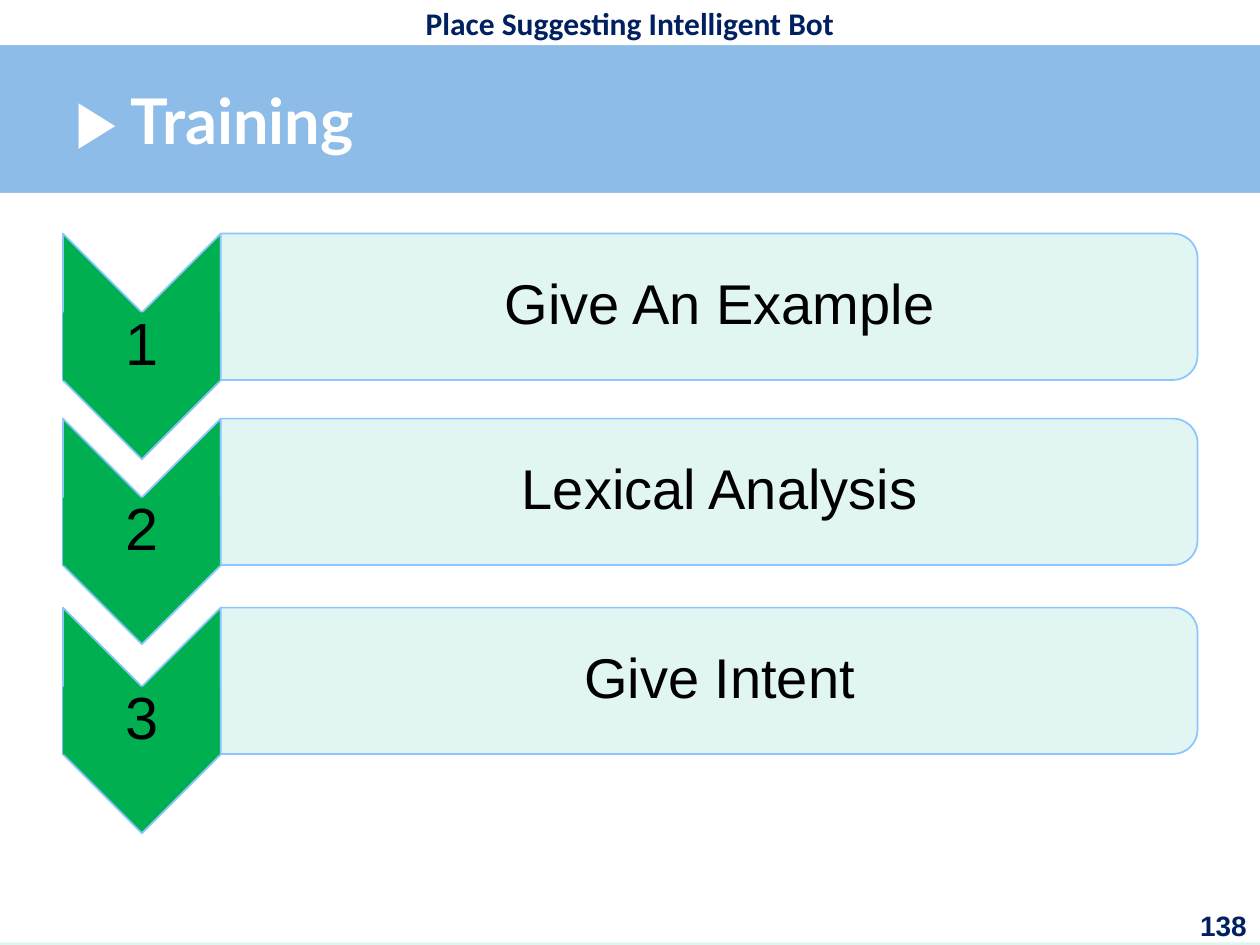
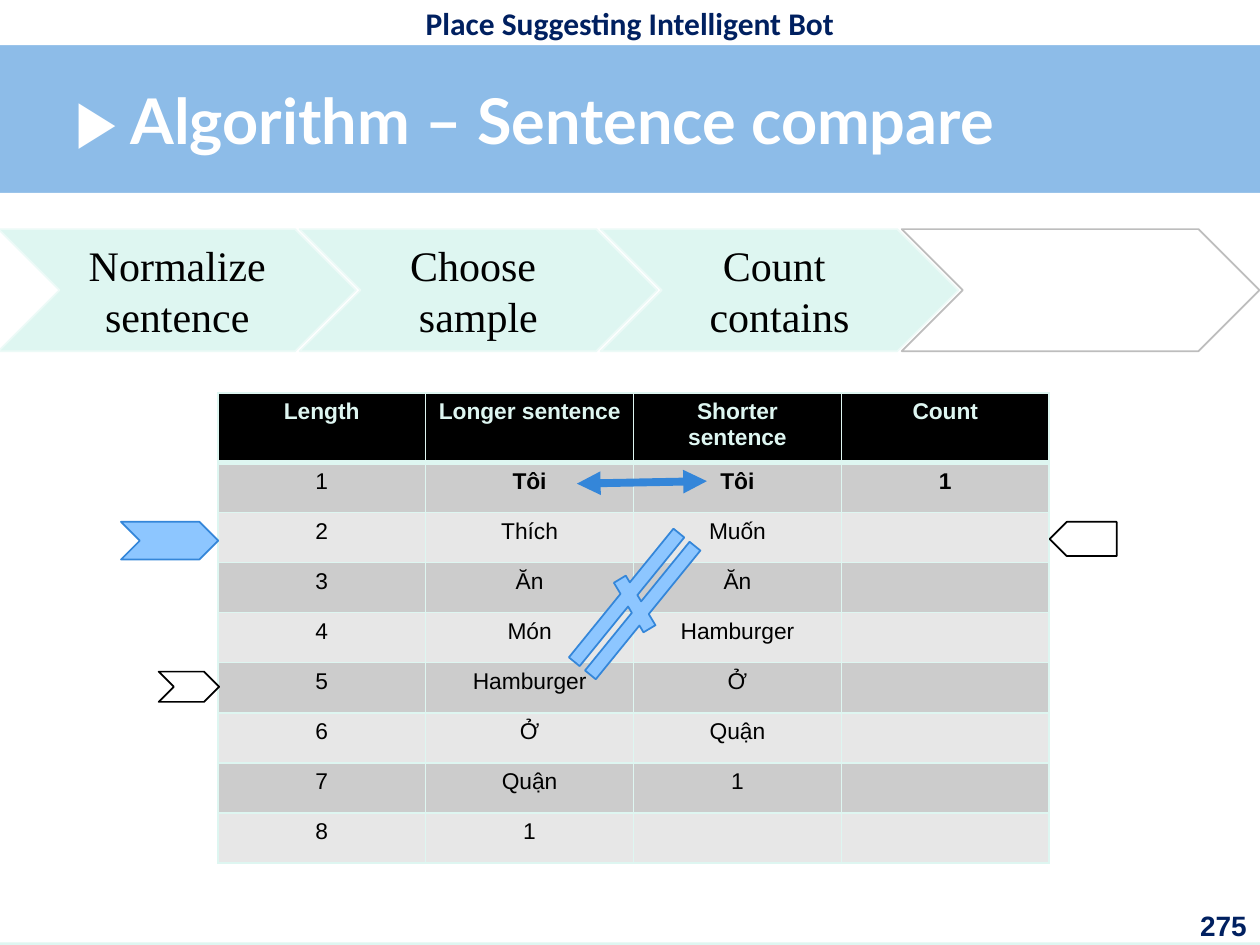
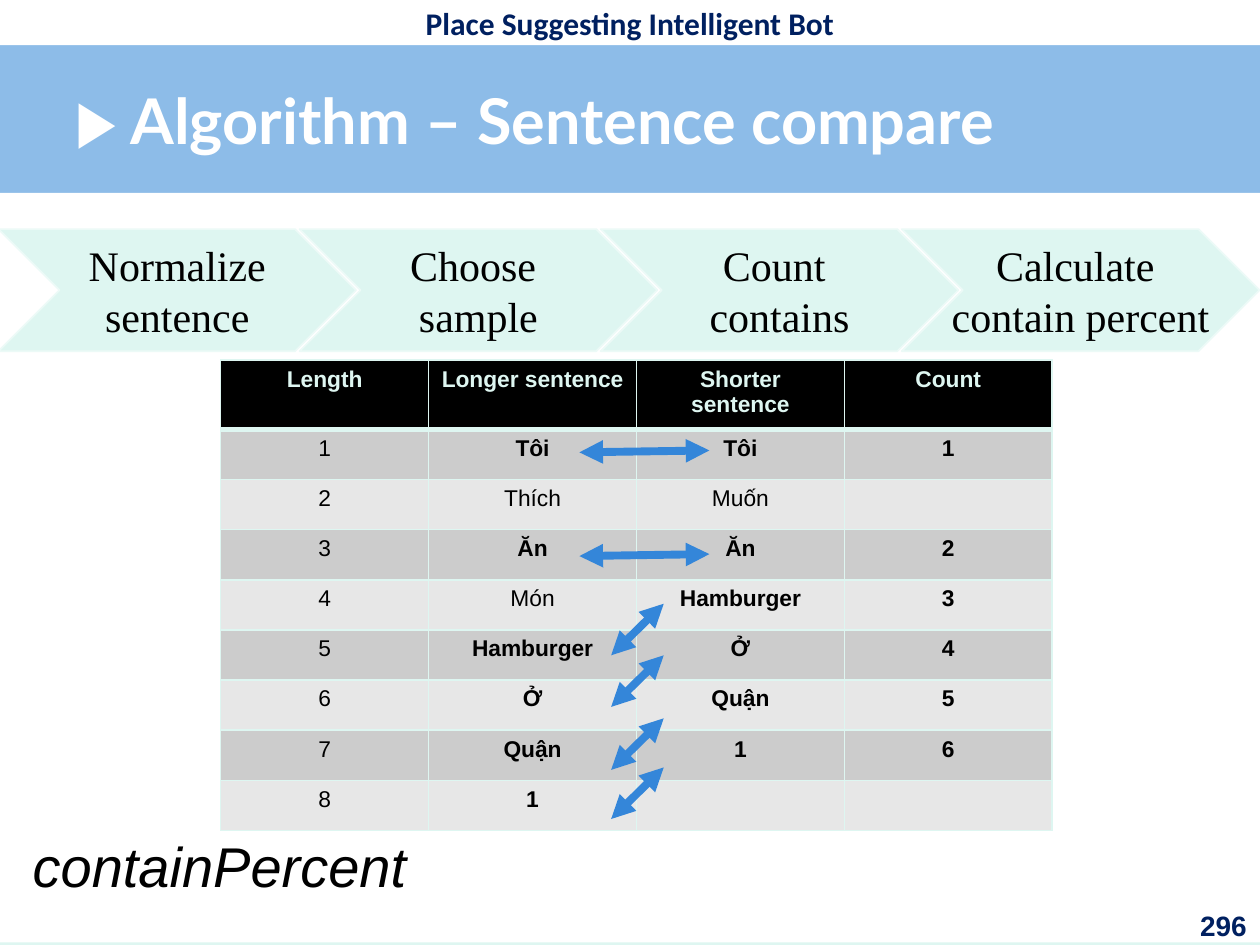
import dataclasses
import itertools

import lxml.etree
import pptx
import pptx.dml.color
import pptx.enum.shapes
import pptx.enum.text
import pptx.oxml.ns
import pptx.util

Cm = pptx.util.Cm
Pt = pptx.util.Pt
SHAPE = pptx.enum.shapes.MSO_SHAPE
ALIGN = pptx.enum.text.PP_ALIGN
ANCHOR = pptx.enum.text.MSO_ANCHOR


@dataclasses.dataclass(frozen=True)
class Theme:
    mint: str = "DEF6F1"
    pale_mint: str = "ECFAF7"
    band: str = "7FB3E7"
    navy: str = "002060"
    white: str = "FFFFFF"
    black: str = "000000"
    green: str = "00B050"
    sky: str = "8DC6FF"
    blue: str = "3486D9"
    gray_line: str = "BDBDBD"
    row_fills: tuple = ("CCCCCC", "E7E7E7")
    body_font: str = "Arial"
    title_font: str = "Lato"
    deck_font: str = "Calibri"
    process_font: str = "Times New Roman"
    title_size: int = 36
    number_size: int = 34
    step_size: int = 32
    process_size: int = 24
    deck_size: int = 18
    page_size: int = 16
    table_size: int = 13


THEME = Theme()
SLIDE_WIDTH, SLIDE_HEIGHT = 25.4, 19.05
DECK_NAME = "Place Suggesting Intelligent Bot"
COMPARE_TITLE = "Algorithm – Sentence compare"
LONGER = ["Tôi", "Thích", "Ăn", "Món", "Hamburger", "Ở", "Quận", "1"]
SHORTER = ["Tôi", "Muốn", "Ăn", "Hamburger", "Ở", "Quận", "1"]
PROCESS = ["Normalize\nsentence", "Choose \nsample", "Count \ncontains",
           "Calculate \ncontain percent"]


def rgb(color):
    return pptx.dml.color.RGBColor.from_string(color)


def lengths(box):
    return [Cm(value) for value in box]


def add_xml(parent, tag, **attributes):
    return lxml.etree.SubElement(parent, pptx.oxml.ns.qn(tag), attributes)


def write_text(holder, text, *, size, font=THEME.body_font, color=THEME.black, bold=False,
               italic=False, align=ALIGN.LEFT, anchor=ANCHOR.TOP, wrap=True, insets=None,
               line_spacing=None):
    """Fill a shape or cell; each line of text becomes a paragraph, insets are in cm."""
    frame = holder.text_frame
    frame.word_wrap = wrap
    holder.vertical_anchor = frame.vertical_anchor = anchor
    if insets is not None:
        (frame.margin_left, frame.margin_top,
         frame.margin_right, frame.margin_bottom) = lengths(insets)
    frame.text = text
    for paragraph in frame.paragraphs:
        paragraph.alignment = align
        paragraph.line_spacing = line_spacing
        for run in paragraph.runs:
            run.font.name = font
            run.font.size = Pt(size)
            run.font.bold = bold
            run.font.italic = italic
            run.font.color.rgb = rgb(color)
        if not paragraph.runs:
            add_xml(paragraph._p, "a:endParaRPr", sz=str(size * 100))


def add_text(slide, box, text, **text_format):
    text_box = slide.shapes.add_textbox(*lengths(box))
    write_text(text_box, text, **text_format)
    return text_box


def add_box(slide, kind, box, fill, line=None, opacity=None, rotation=0):
    shape = slide.shapes.add_shape(kind, *lengths(box))
    shape.shadow.inherit = False
    shape.rotation = rotation
    shape.fill.solid()
    shape.fill.fore_color.rgb = rgb(fill)
    if opacity is not None:
        color = shape.element.xpath("./p:spPr/a:solidFill/a:srgbClr")[0]
        add_xml(color, "a:alpha", val=str(opacity * 1000))
    if line:
        shape.line.color.rgb = rgb(line)
        shape.line.width = Pt(1)
    else:
        shape.line.fill.background()
    return shape


def quarter_turned(left, top, width, height):
    """Give the unrotated box that covers this area once turned by 90 degrees."""
    shift = (width - height) / 2
    return left + shift, top - shift, height, width


def add_double_arrow(slide, start, end):
    connector = slide.shapes.add_connector(
        pptx.enum.shapes.MSO_CONNECTOR.STRAIGHT, *lengths(start + end))
    connector.line.color.rgb = rgb(THEME.blue)
    connector.line.width = Pt(4.5)
    line = connector.line._get_or_add_ln()
    add_xml(line, "a:headEnd", type="triangle")
    add_xml(line, "a:tailEnd", type="triangle")
    add_xml(connector.element.spPr, "a:effectLst")


def set_borders(cell, **widths):
    """Draw the L, R, T and B borders of a cell with the given widths in points."""
    properties = cell._tc.get_or_add_tcPr()
    for index, (side, width) in enumerate(widths.items()):
        border = add_xml(properties, f"a:ln{side}", w=str(Pt(width)))
        add_xml(add_xml(border, "a:solidFill"), "a:srgbClr", val=THEME.mint)
        properties.insert(index, border)


def add_compare_table(slide, left, top, matched):
    """List both sentences, with matched words in bold and numbered in the last column."""
    rows = [("Length", "Longer sentence", "Shorter sentence", "Count")]
    for number, (longer, shorter) in enumerate(
            itertools.zip_longest(LONGER, SHORTER, fillvalue=""), start=1):
        count = str(matched.index(shorter) + 1) if shorter in matched else ""
        rows.append((str(number), longer, shorter, count))
    column_width, header_height, row_height = 4.19, 1.4, 1.01
    box = (left, top, 4 * column_width, header_height + row_height * len(LONGER))
    table = slide.shapes.add_table(len(rows), 4, *lengths(box)).table
    table.horz_banding = False
    for column in table.columns:
        column.width = Cm(column_width)
    for row_index, values in enumerate(rows):
        header = row_index == 0
        table.rows[row_index].height = Cm(header_height if header else row_height)
        for column_index, value in enumerate(values):
            cell = table.cell(row_index, column_index)
            cell.fill.solid()
            cell.fill.fore_color.rgb = rgb(
                THEME.black if header else THEME.row_fills[(row_index - 1) % 2])
            set_borders(cell, L=1, R=1, T=3 if row_index == 1 else 1, B=3 if header else 1)
            bold = header or column_index == 3 or (column_index > 0 and value in matched)
            write_text(cell, value, size=THEME.table_size, bold=bold, align=ALIGN.CENTER,
                       color=THEME.mint if header else THEME.black)


def add_process(slide, done):
    """Draw the row of process chevrons, the first ones filled and labelled."""
    for index, label in enumerate(PROCESS):
        reached = index < done
        chevron = add_box(slide, SHAPE.CHEVRON, (6.07 * index - 0.03, 4.62, 7.21, 2.46),
                          THEME.mint if reached else THEME.white,
                          THEME.pale_mint if reached else THEME.gray_line)
        if reached:
            write_text(chevron, label, size=THEME.process_size, font=THEME.process_font,
                       align=ALIGN.CENTER, anchor=ANCHOR.MIDDLE, wrap=False)


def add_training_step(slide, top, number, label):
    centered = {"align": ALIGN.CENTER, "anchor": ANCHOR.MIDDLE, "line_spacing": 0.9}
    add_box(slide, SHAPE.CHEVRON, quarter_turned(1.27, top, 3.18, 4.55),
            THEME.green, THEME.sky, rotation=90)
    number_box = add_box(slide, SHAPE.RECTANGLE, (1.27, top + 1.59, 3.18, 1.37), THEME.green)
    write_text(number_box, str(number), size=THEME.number_size, insets=[0.05] * 4, **centered)
    add_box(slide, SHAPE.ROUND_2_SAME_RECTANGLE, quarter_turned(4.45, top, 19.69, 2.95),
            THEME.mint, THEME.sky, opacity=90, rotation=90)
    add_text(slide, (4.45, top + 0.14, 19.53, 2.67), label, size=THEME.step_size,
             insets=(0.64, 0.05, 0.05, 0.05), **centered)


def decorate_layout(layout, slide):
    """Build the shared bands and deck name on a slide, then hand them to the layout."""
    layout.background.fill.solid()
    layout.background.fill.fore_color.rgb = rgb(THEME.mint)
    shared = [
        add_box(slide, SHAPE.RECTANGLE, (0, 0, SLIDE_WIDTH, 3.94), THEME.band, opacity=85),
        add_box(slide, SHAPE.RECTANGLE, (0, 0, SLIDE_WIDTH, 0.91), THEME.white),
        add_box(slide, SHAPE.RECTANGLE, (0, 3.89, SLIDE_WIDTH, 15.11), THEME.white),
        add_text(slide, (1.27, 0, 22.86, 0.91), DECK_NAME, size=THEME.deck_size,
                 font=THEME.deck_font, color=THEME.navy, bold=True, align=ALIGN.CENTER,
                 anchor=ANCHOR.MIDDLE, wrap=False),
    ]
    for shape_id, shape in enumerate(shared, start=100):
        shape.element.xpath(".//p:cNvPr")[0].set("id", str(shape_id))
        layout.shapes.element.append(shape.element)


def add_slide(presentation, layout, title_text, page):
    slide = presentation.slides.add_slide(layout)
    title = slide.shapes.title
    title.left, title.top, title.width, title.height = lengths((1.27, 0.89, 22.86, 3.05))
    write_text(title, f"▶ {title_text}", size=THEME.title_size, font=THEME.title_font,
               color=THEME.white, bold=True, anchor=ANCHOR.MIDDLE)
    add_text(slide, (23.83, 18.19, 1.55, 0.86), str(page), size=THEME.page_size,
             color=THEME.navy, bold=True, align=ALIGN.RIGHT)
    return slide


def fill_training(slide):
    steps = [(4.71, "Give An Example"), (8.44, "Lexical Analysis"), (12.25, "Give Intent")]
    for number, (top, label) in enumerate(steps, start=1):
        add_training_step(slide, top, number, label)


def fill_counting(slide):
    add_compare_table(slide, 4.39, 7.92, matched=["Tôi"])
    add_double_arrow(slide, (11.63, 9.75), (14.25, 9.7))
    add_box(slide, SHAPE.CHEVRON, (2.44, 10.52, 1.96, 0.76), THEME.sky, THEME.blue)
    add_box(slide, SHAPE.CHEVRON, (3.2, 13.54, 1.22, 0.61), THEME.white, THEME.black)
    add_box(slide, SHAPE.MATH_NOT_EQUAL, (10.52, 11.58, 4.55, 1.19), THEME.sky, THEME.blue,
            rotation=309.1)
    add_box(slide, SHAPE.PENTAGON, (21.16, 10.52, 1.35, 0.69), THEME.white, THEME.black,
            rotation=180)
    add_process(slide, done=3)


def fill_percent(slide):
    add_compare_table(slide, 4.45, 7.26, [word for word in SHORTER if word in LONGER])
    for top in (9.12, 11.21):
        add_double_arrow(slide, (11.68, top), (14.3, top - 0.04))
    for top in (13.21, 14.25, 15.52, 16.51):
        add_double_arrow(slide, (12.32, top), (13.38, top - 1.04))
    add_process(slide, done=4)
    add_text(slide, (0.66, 16.76, 24.69, 1.37), "containPercent", size=THEME.step_size,
             italic=True, insets=[0] * 4)


def main():
    presentation = pptx.Presentation()
    presentation.slide_width, presentation.slide_height = lengths((SLIDE_WIDTH, SLIDE_HEIGHT))
    layout = presentation.slide_layouts.get_by_name("Title Only")
    training = add_slide(presentation, layout, "Training", 138)
    decorate_layout(layout, training)
    fill_training(training)
    fill_counting(add_slide(presentation, layout, COMPARE_TITLE, 275))
    fill_percent(add_slide(presentation, layout, COMPARE_TITLE, 296))
    presentation.save("out.pptx")


if __name__ == "__main__":
    main()
